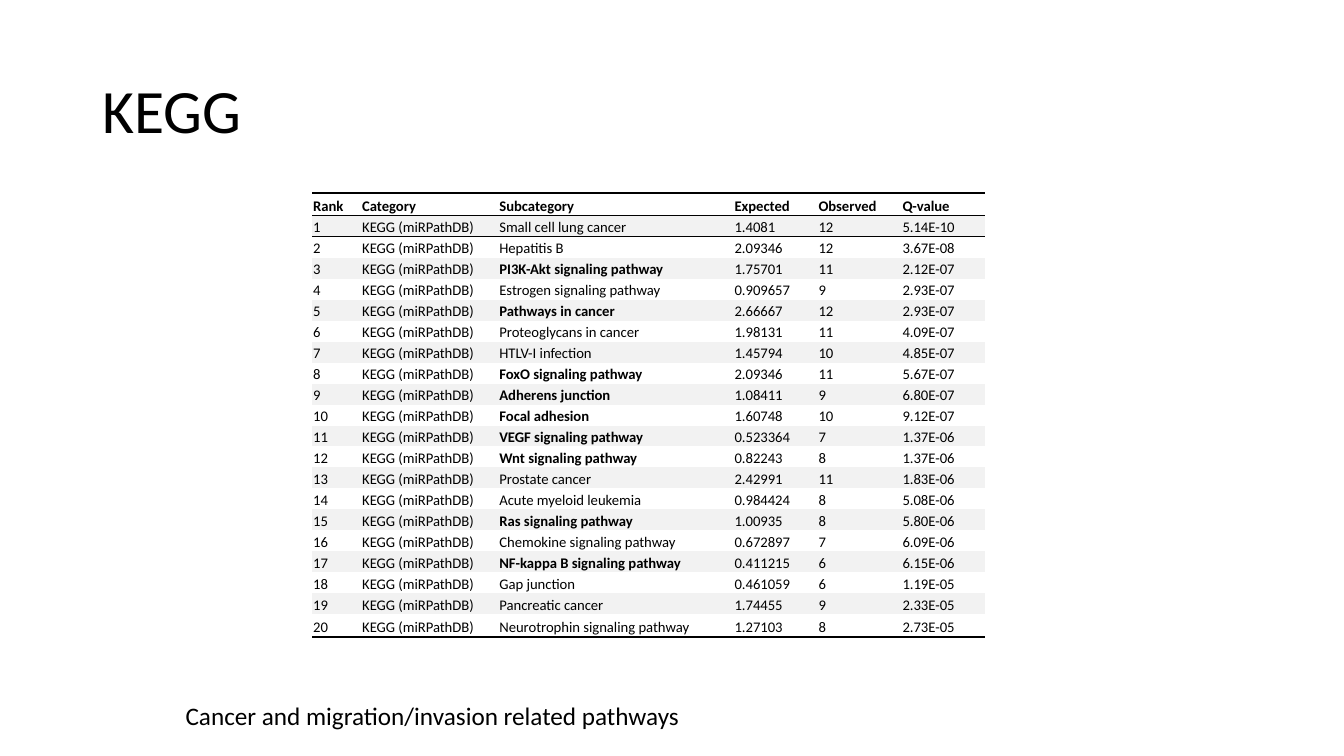
"""Build the KEGG pathway enrichment slide."""
from lxml import etree
from pptx import Presentation
from pptx.dml import color
from pptx.enum import text
from pptx.oxml import ns
from pptx.util import Pt

FONT = "Calibri"
BLACK, WHITE, GREY = "000000", "FFFFFF", "F2F2F2"
NO_GRID_STYLE = "{2D5ABB26-0587-4C30-8999-92F81FD0307C}"
HEADINGS = ["Rank", "Category", "Subcategory", "Expected", "Observed", "Q-value"]
CATEGORY = "KEGG (miRPathDB)"
PATHWAYS = [
    ("Small cell lung cancer", "1.4081", "12", "5.14E-10"),
    ("Hepatitis B", "2.09346", "12", "3.67E-08"),
    ("PI3K-Akt signaling pathway", "1.75701", "11", "2.12E-07"),
    ("Estrogen signaling pathway", "0.909657", "9", "2.93E-07"),
    ("Pathways in cancer", "2.66667", "12", "2.93E-07"),
    ("Proteoglycans in cancer", "1.98131", "11", "4.09E-07"),
    ("HTLV-I infection", "1.45794", "10", "4.85E-07"),
    ("FoxO signaling pathway", "2.09346", "11", "5.67E-07"),
    ("Adherens junction", "1.08411", "9", "6.80E-07"),
    ("Focal adhesion", "1.60748", "10", "9.12E-07"),
    ("VEGF signaling pathway", "0.523364", "7", "1.37E-06"),
    ("Wnt signaling pathway", "0.82243", "8", "1.37E-06"),
    ("Prostate cancer", "2.42991", "11", "1.83E-06"),
    ("Acute myeloid leukemia", "0.984424", "8", "5.08E-06"),
    ("Ras signaling pathway", "1.00935", "8", "5.80E-06"),
    ("Chemokine signaling pathway", "0.672897", "7", "6.09E-06"),
    ("NF-kappa B signaling pathway", "0.411215", "6", "6.15E-06"),
    ("Gap junction", "0.461059", "6", "1.19E-05"),
    ("Pancreatic cancer", "1.74455", "9", "2.33E-05"),
    ("Neurotrophin signaling pathway", "1.27103", "8", "2.73E-05"),
]
BOLD_RANKS = {3, 5, 8, 9, 10, 11, 12, 15, 17}
COLUMN_WIDTHS = [35, 98, 168, 60, 60, 60]


def style_text(paragraph, size, bold=False):
    for span in paragraph.runs:
        span.font.name = FONT
        span.font.size = Pt(size)
        span.font.bold = bold
        span.font.color.rgb = color.RGBColor.from_string(BLACK)


def add_border(cell, side, width):
    line = etree.SubElement(cell._tc.get_or_add_tcPr(), ns.qn(f"a:{side}"), w=str(Pt(width)))
    fill = etree.SubElement(line, ns.qn("a:solidFill"))
    etree.SubElement(fill, ns.qn("a:srgbClr"), val=BLACK)


deck = Presentation()
deck.slide_width, deck.slide_height = Pt(960), Pt(540)
page = deck.slides.add_slide(deck.slide_layouts[5])

title = page.shapes.title
title.left, title.top, title.width, title.height = Pt(66), Pt(28.75), Pt(828), Pt(104.4)
title.text_frame.text = "KEGG"
title.text_frame.vertical_anchor = text.MSO_ANCHOR.MIDDLE
heading = title.text_frame.paragraphs[0]
heading.alignment = text.PP_ALIGN.LEFT
heading.line_spacing = 0.9
style_text(heading, 44)

rows = [HEADINGS]
for rank, pathway in enumerate(PATHWAYS, start=1):
    rows.append([str(rank), CATEGORY, *pathway])
last = len(rows) - 1
row_heights = [16] + [15] * (last - 1) + [16]

frame = page.shapes.add_table(len(rows), len(HEADINGS), Pt(223), Pt(138),
                              Pt(sum(COLUMN_WIDTHS)), Pt(sum(row_heights)))
table = frame.table
table.first_row = table.horz_banding = False
table._tbl.tblPr.find(ns.qn("a:tableStyleId")).text = NO_GRID_STYLE
for column, width in zip(table.columns, COLUMN_WIDTHS):
    column.width = Pt(width)

for rank, values in enumerate(rows):
    table.rows[rank].height = Pt(row_heights[rank])
    for index, value in enumerate(values):
        cell = table.cell(rank, index)
        cell.text_frame.text = value
        cell.vertical_anchor = text.MSO_ANCHOR.BOTTOM
        cell.margin_left = cell.margin_right = cell.margin_top = Pt(0.75)
        cell.margin_bottom = Pt(0)
        bold = rank == 0 or (index == 2 and rank in BOLD_RANKS)
        style_text(cell.text_frame.paragraphs[0], 10.5, bold)
        if rank == 0:
            add_border(cell, "lnT", 1.5)
            add_border(cell, "lnB", 0.5)
        elif rank == 1:
            add_border(cell, "lnT", 0.5)
        elif rank == last:
            add_border(cell, "lnB", 1.5)
        cell.fill.solid()
        cell.fill.fore_color.rgb = color.RGBColor.from_string(GREY if rank % 2 else WHITE)

caption = page.shapes.add_textbox(Pt(125.5), Pt(497), Pt(448.5), Pt(29))
caption.text_frame.word_wrap = True
caption.text_frame.auto_size = text.MSO_AUTO_SIZE.SHAPE_TO_FIT_TEXT
caption.text_frame.text = "Cancer and migration/invasion related pathways"
style_text(caption.text_frame.paragraphs[0], 18)

deck.save("out.pptx")
